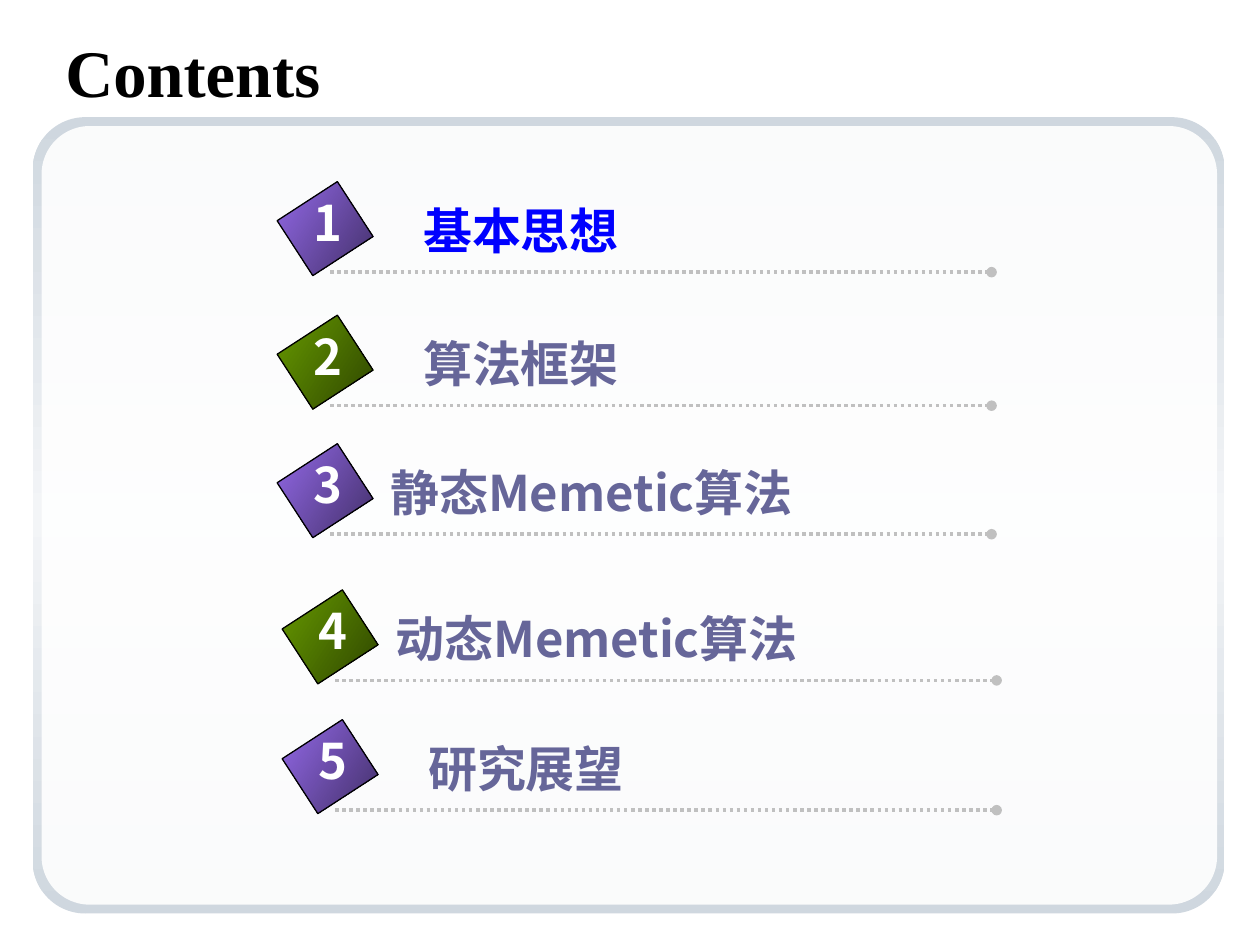
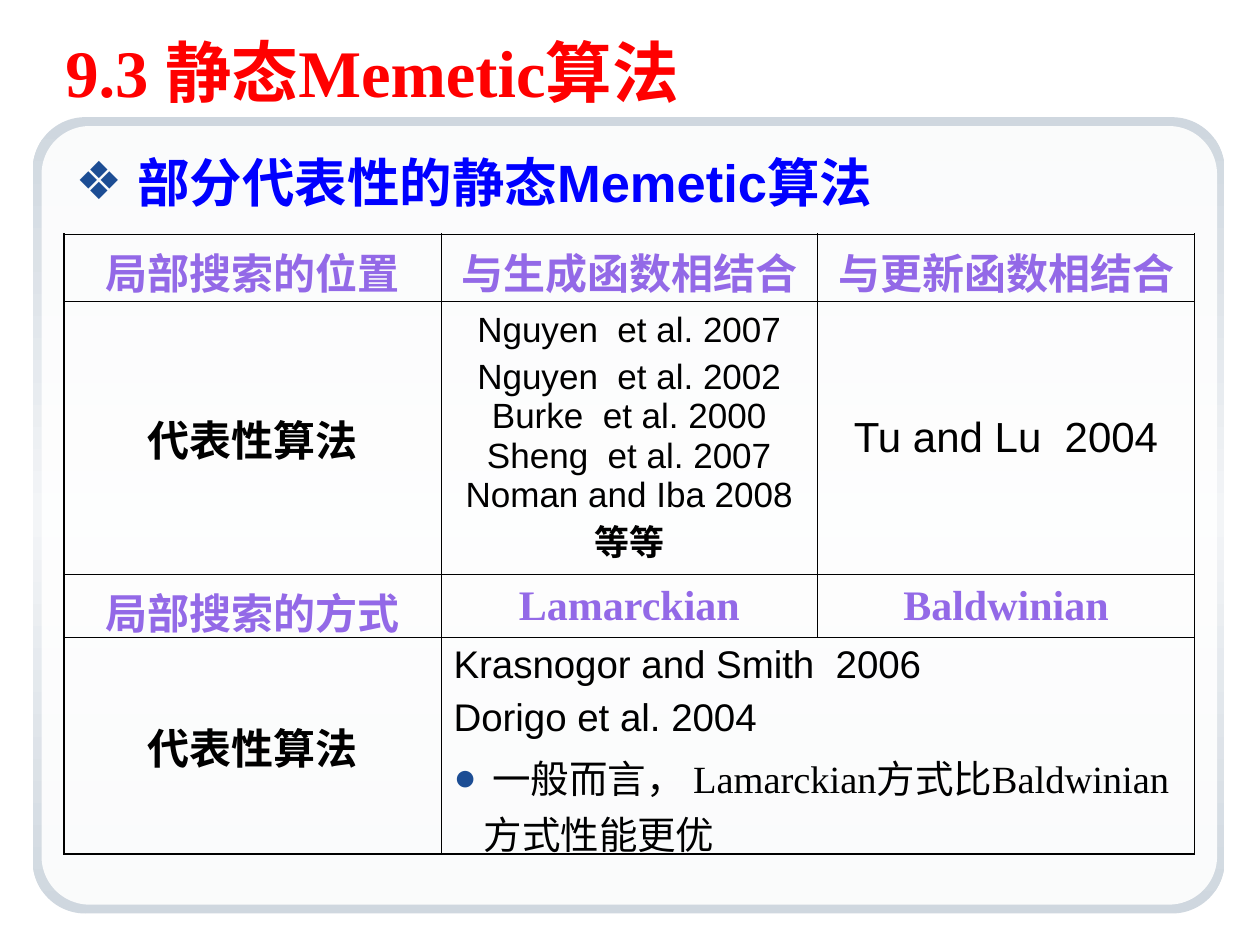
from lxml import etree
from pptx import Presentation
from pptx.dml.color import RGBColor
from pptx.enum.dml import MSO_LINE_DASH_STYLE as Dash
from pptx.enum.shapes import MSO_CONNECTOR, MSO_SHAPE
from pptx.enum.text import MSO_ANCHOR, PP_ALIGN
from pptx.oxml.ns import qn
from pptx.util import Inches, Pt

# Colours and fonts
BLACK = RGBColor(0x00, 0x00, 0x00)
WHITE = RGBColor(0xFF, 0xFF, 0xFF)
RED = RGBColor(0xFF, 0x00, 0x00)
BLUE = RGBColor(0x00, 0x00, 0xFF)
SLATE = RGBColor(0x66, 0x66, 0x99)
GRAY = RGBColor(0xC0, 0xC0, 0xC0)
NAVY = RGBColor(0x1C, 0x4D, 0x94)
PURPLE = RGBColor(0x93, 0x69, 0xE7)
DARK_PURPLE = RGBColor(0x43, 0x30, 0x6A)
GREEN = RGBColor(0x66, 0x99, 0x00)
DARK_GREEN = RGBColor(0x2F, 0x46, 0x00)
FRAME = RGBColor(0xCF, 0xD7, 0xDF)
FRAME_LIGHT = RGBColor(0xF3, 0xF5, 0xF7)
SANS, SERIF, CHINESE = "Arial", "Times New Roman", "Noto Sans CJK SC"

# Contents slide: label, left of row, height of dotted line, label offset
CONTENTS = [
    ("基本思想", 2.62, 2.16, 0.64),
    ("算法框架", 2.62, 3.22, 0.64),
    ("静态Memetic算法", 2.62, 4.24, 0.38),
    ("动态Memetic算法", 2.66, 5.40, 0.38),
    ("研究展望", 2.66, 6.43, 0.64),
]
CURRENT_ITEM = 1
DIAMOND_COLORS = [(PURPLE, DARK_PURPLE), (GREEN, DARK_GREEN)]

# Table slide: a cell is a list of paragraphs, a paragraph a list of runs
# (text, size, font, colour, bold)
SUBTITLE = "部分代表性的静态Memetic算法"


def heading(text, font=SANS):
    return [[(text, 24, font, PURPLE, True)]]


ALGORITHMS = [[("代表性算法", 24, SANS, BLACK, True)]]
TABLE = [
    [heading("局部搜索的位置"), heading("与生成函数相结合"), heading("与更新函数相结合")],
    [
        ALGORITHMS,
        [
            [("Nguyen  et al. 2007", 20, SANS, BLACK, False)],
            [("Nguyen  et al. 2002 Burke  et al. 2000 Sheng  et al. 2007 "
              "Noman and Iba 2008 ", 20, SANS, BLACK, False),
             ("等等", 20, SANS, BLACK, True)],
        ],
        [[("Tu and Lu  2004", 24, SANS, BLACK, False)]],
    ],
    [heading("局部搜索的方式"), heading("Lamarckian", SERIF), heading("Baldwinian", SERIF)],
    [
        ALGORITHMS,
        [
            [("Krasnogor and Smith  2006", 22, SANS, BLACK, False)],
            [("Dorigo et al. 2004", 22, SANS, BLACK, False)],
            [(" 一般而言， ", 22, SANS, BLACK, False),
             ("Lamarckian方式比Baldwinian方式性能更优", 22, SERIF, BLACK, False)],
        ],
    ],
]
ROW_HEIGHTS = [0.53, 2.17, 0.50, 1.72]
COLUMN_WIDTH = 2.99


# Shared helpers
def format_run(run, size, font, color, bold):
    run.font.size = Pt(size)
    run.font.name = font
    run.font.bold = bold
    run.font.color.rgb = color
    east_asian = etree.SubElement(run.font._element, qn("a:ea"))
    east_asian.set("typeface", CHINESE)


def add_runs(paragraph, runs):
    for text, *style in runs:
        run = paragraph.add_run()
        run.text = text
        format_run(run, *style)


def add_bullet(paragraph, character, indent):
    properties = paragraph._p.get_or_add_pPr()
    properties.set("marL", str(Inches(indent)))
    properties.set("indent", str(-Inches(indent)))
    color = etree.SubElement(properties, qn("a:buClr"))
    etree.SubElement(color, qn("a:srgbClr")).set("val", str(NAVY))
    etree.SubElement(properties, qn("a:buFont")).set("typeface", SANS)
    etree.SubElement(properties, qn("a:buChar")).set("char", character)


def add_text(slide, box, run, align=PP_ALIGN.LEFT, wrap=True):
    shape = slide.shapes.add_textbox(*map(Inches, box))
    shape.text_frame.word_wrap = wrap
    paragraph = shape.text_frame.paragraphs[0]
    paragraph.alignment = align
    add_runs(paragraph, [run])
    return shape


def fill_gradient(shape, colors, angle):
    shape.fill.gradient()
    shape.fill.gradient_angle = 360 - angle
    gradient = shape._element.spPr.find(qn("a:gradFill"))
    gradient.set("rotWithShape", "0")
    stops = gradient.find(qn("a:gsLst"))
    for stop in list(stops):
        stops.remove(stop)
    for index, color in enumerate(colors):
        stop = etree.SubElement(stops, qn("a:gs"))
        stop.set("pos", str(100000 * index // (len(colors) - 1)))
        etree.SubElement(stop, qn("a:srgbClr")).set("val", str(color))


def add_panel(slide, box, radius):
    panel = slide.shapes.add_shape(MSO_SHAPE.ROUNDED_RECTANGLE, *map(Inches, box))
    panel.adjustments[0] = radius
    panel.shadow.inherit = False
    panel.line.fill.background()
    return panel


def add_base_slide(presentation, title, color):
    slide = presentation.slides.add_slide(presentation.slide_layouts[6])
    frame = add_panel(slide, (0.26, 0.93, 9.46, 6.32), 0.066)
    fill_gradient(frame, [FRAME, FRAME_LIGHT, FRAME], 90)
    inside = add_panel(slide, (0.33, 1, 9.33, 6.18), 0.062)
    inside.fill.solid()
    inside.fill.fore_color.rgb = WHITE
    white = inside._element.spPr.find(qn("a:solidFill"))[0]
    etree.SubElement(white, qn("a:alpha")).set("val", "90000")
    title_box = add_text(slide, (0.42, 0.25, 9.33, 0.62), (title, 38, SERIF, color, True))
    title_box.text_frame.vertical_anchor = MSO_ANCHOR.MIDDLE
    return slide


# Contents slide
def add_contents_row(slide, number, label, left, line_y, label_offset):
    line = slide.shapes.add_connector(
        MSO_CONNECTOR.STRAIGHT, *map(Inches, (left, line_y, left + 5.25, line_y)))
    line.line.color.rgb = GRAY
    line.line.width = Pt(2)
    line.line.dash_style = Dash.ROUND_DOT
    etree.SubElement(line.line._get_or_add_ln(), qn("a:tailEnd")).set("type", "oval")
    etree.SubElement(line._element.spPr, qn("a:effectLst"))

    diamond = slide.shapes.add_shape(
        MSO_SHAPE.RECTANGLE, *map(Inches, (left - 0.3, line_y - 0.63, 0.52, 0.57)))
    diamond.rotation = 57
    diamond.shadow.inherit = False
    fill_gradient(diamond, DIAMOND_COLORS[(number - 1) % 2], 33)
    diamond.line.color.rgb = BLACK
    diamond.line.width = Pt(0.75)

    color = BLUE if number == CURRENT_ITEM else SLATE
    width = 3.72 if "Memetic" in label else 1.84
    add_text(slide, (left + label_offset, line_y - 0.62, width, 0.57),
             (label, 28, CHINESE, color, True), wrap=False)
    add_text(slide, (left - 0.23, line_y - 0.68, 0.42, 0.57),
             (str(number), 28, CHINESE, WHITE, True), PP_ALIGN.CENTER, wrap=False)


def build_contents(presentation):
    slide = add_base_slide(presentation, "Contents", BLACK)
    for number, row in enumerate(CONTENTS, 1):
        add_contents_row(slide, number, *row)


# Table slide
def set_borders(cell, widths):
    properties = cell._tc.get_or_add_tcPr()
    for side, width in zip("LRTB", widths):
        border = etree.SubElement(properties, qn(f"a:ln{side}"))
        border.set("w", str(Pt(width)))
        fill = etree.SubElement(border, qn("a:solidFill"))
        etree.SubElement(fill, qn("a:srgbClr")).set("val", str(BLACK))


def fill_cell(cell, paragraphs, align):
    cell.vertical_anchor = MSO_ANCHOR.MIDDLE
    frame = cell.text_frame
    for index, runs in enumerate(paragraphs):
        paragraph = frame.add_paragraph() if index else frame.paragraphs[0]
        paragraph.alignment = align
        if index:
            paragraph.space_before = Pt(runs[0][1] / 4)
        if runs[0][0].startswith(" "):
            add_bullet(paragraph, "●", 0.24)
        add_runs(paragraph, runs)


def build_table(presentation):
    slide = add_base_slide(presentation, "9.3 静态Memetic算法", RED)
    subtitle = add_text(slide, (0.5, 1.14, 9, 0.7), (SUBTITLE, 30, SANS, BLUE, True))
    add_bullet(subtitle.text_frame.paragraphs[0], "❖", 0.49)

    rows, columns = len(ROW_HEIGHTS), 3
    table = slide.shapes.add_table(
        rows, columns, Inches(0.51), Inches(1.86),
        Inches(COLUMN_WIDTH * columns), Inches(sum(ROW_HEIGHTS))).table
    table.first_row = table.horz_banding = False
    for column in table.columns:
        column.width = Inches(COLUMN_WIDTH)
    for row, height in zip(table.rows, ROW_HEIGHTS):
        row.height = Inches(height)
    table.cell(3, 1).merge(table.cell(3, 2))

    for r in range(rows):
        for c in range(columns):
            cell = table.cell(r, c)
            outer_sides = (c == 0, c == columns - 1, r == 0, r == rows - 1)
            set_borders(cell, [1.08 if outer else 0.45 for outer in outer_sides])
            cell.fill.background()
    for r, row in enumerate(TABLE):
        for c, paragraphs in enumerate(row):
            align = PP_ALIGN.LEFT if (r, c) == (3, 1) else PP_ALIGN.CENTER
            fill_cell(table.cell(r, c), paragraphs, align)


def main():
    presentation = Presentation()
    presentation.slide_width = Inches(10)
    presentation.slide_height = Inches(7.5)
    build_contents(presentation)
    build_table(presentation)
    presentation.save("out.pptx")


if __name__ == "__main__":
    main()
